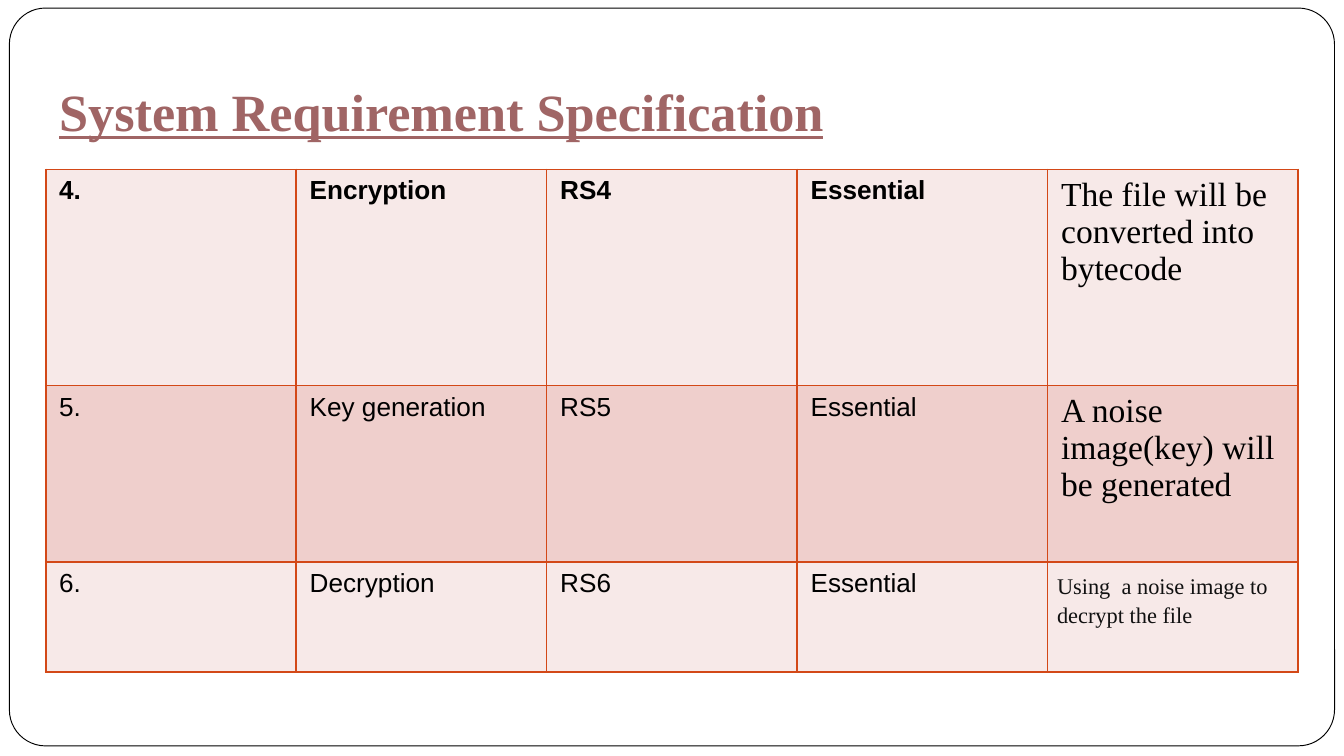
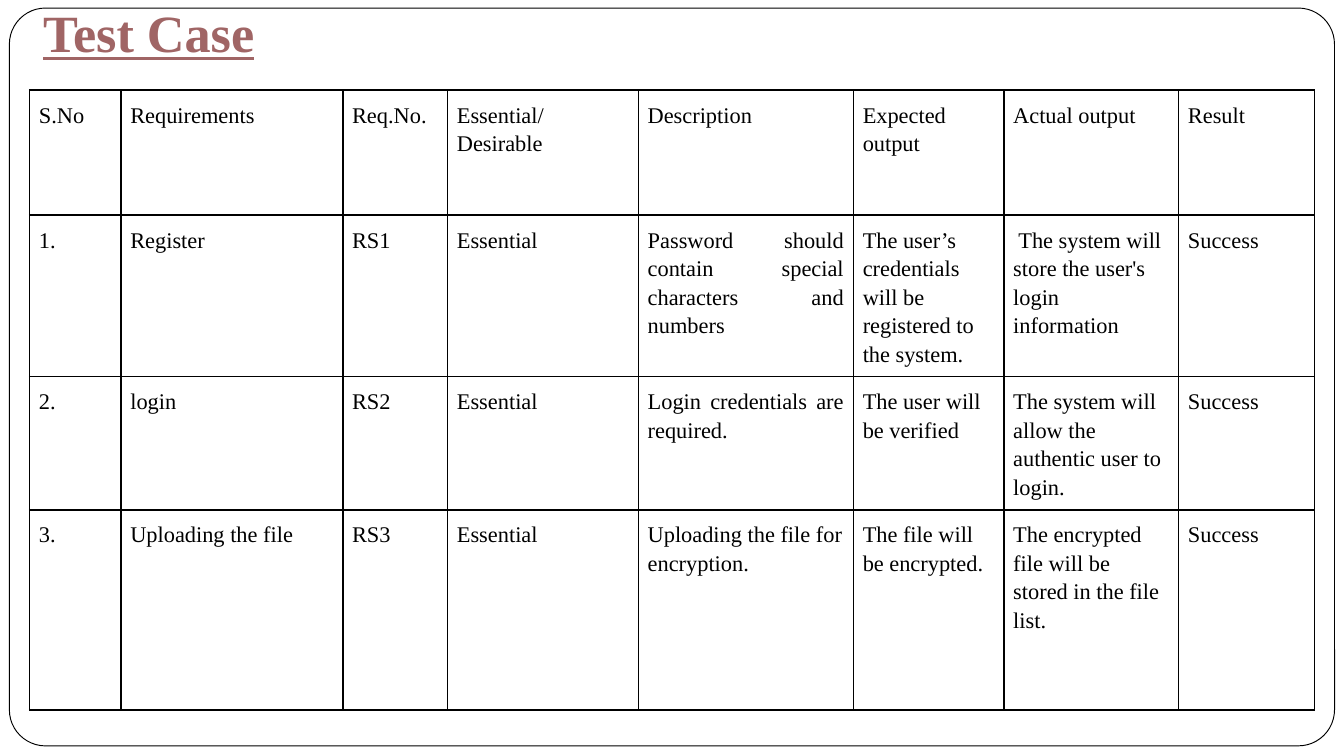
from dataclasses import dataclass, field

from pptx import Presentation
from pptx import util as u
from pptx.dml.color import RGBColor
from pptx.enum import shapes, text
from pptx.oxml import parse_xml
from pptx.oxml.ns import nsdecls

WHITE, BLACK = "FFFFFF", "000000"
TITLE_STOPS = {0: "4C2424", 78: "A06565", 100: "F6F1F1"}
SERIF = "Times New Roman"
TITLE_SIZE = (9.32, 0.63)
LEFT, JUSTIFY = text.PP_ALIGN.LEFT, text.PP_ALIGN.JUSTIFY


@dataclass(frozen=True)
class CellStyle:
    font: dict
    color: str = BLACK
    para: dict = field(default_factory=dict)
    margin: float | None = None


@dataclass(frozen=True)
class TableSlide:
    title: str
    title_at: tuple[float, float]
    table_at: tuple[float, float]
    cols: list[float]
    rows: list[float]
    border: str
    fills: list[str]
    cells: list[list[str]]
    styles: list[list[CellStyle]]


SPACED = {"line_spacing": 1.15, "space_before": u.Pt(11), "space_after": u.Pt(11)}
SMALL = {"size": u.Pt(12), "name": SERIF}
PLAIN = CellStyle({"size": u.Pt(14), "name": "Arial", "bold": False})
STRONG = CellStyle({**PLAIN.font, "bold": True})
LARGE = CellStyle({"size": u.Pt(18), "name": SERIF})
NOTE = CellStyle(SMALL, "111111", SPACED, 0.07)
RAGGED = CellStyle(SMALL, BLACK, {**SPACED, "alignment": LEFT}, 0.07)
JUSTIFIED = CellStyle(SMALL, BLACK, {**SPACED, "alignment": JUSTIFY}, 0.07)
CASE_ROW = [JUSTIFIED] * 5 + [RAGGED] * 2 + [JUSTIFIED]

SLIDES = [
    TableSlide(
        "System Requirement Specification", (0.34, 0.49), (0.34, 1.26),
        [9.32 / 5] * 5, [1.61, 1.31, 0.82], "D34817",
        ["F7E9E8", "EFCFCC", "F7E9E8"],
        [
            ["4.", "Encryption", "RS4", "Essential",
             "The file will be converted into bytecode"],
            ["5.", "Key generation", "RS5", "Essential",
             "A noise image(key) will be generated"],
            ["6.", "Decryption", "RS6", "Essential",
             "Using  a noise image to decrypt the file"],
        ],
        [[STRONG] * 4 + [LARGE], [PLAIN] * 4 + [LARGE], [PLAIN] * 4 + [NOTE]],
    ),
    TableSlide(
        "Test Case", (0.22, -0.1), (0.22, 0.67),
        [0.68, 1.65, 0.78, 1.42, 1.6, 1.12, 1.3, 1.01], [0.93, 1.2, 0.98, 1.49], BLACK,
        [WHITE] * 4,
        [
            ["S.No", "Requirements", "Req.No.", "Essential/Desirable", "Description",
             "Expected output", "Actual output ", "Result"],
            ["1.", "Register", "RS1", "Essential",
             "Password should contain special characters and numbers ",
             "The user’s credentials will be registered to the system.",
             " The system will store the user's login information", "Success"],
            ["2.", "login", "RS2", "Essential", "Login credentials are required.",
             "The user will be verified",
             "The system will allow the authentic user to login.", "Success"],
            ["3.", "Uploading the file ", "RS3", "Essential",
             "Uploading the file for encryption.", "The file will be encrypted.",
             "The encrypted file will be stored in the file list.", "Success"],
        ],
        [[JUSTIFIED] * 8, CASE_ROW, CASE_ROW, CASE_ROW[:4] + [RAGGED] * 3 + [JUSTIFIED]],
    ),
]


def rgb(value: str) -> RGBColor:
    return RGBColor.from_string(value)


def apply(target, values: dict) -> None:
    for name, value in values.items():
        setattr(target, name, value)


def add_frame(s) -> None:
    sp = s.shapes.add_shape(shapes.MSO_SHAPE.ROUNDED_RECTANGLE,
                            *map(u.Inches, (0.07, 0.06, 9.86, 5.49)))
    sp.adjustments[0] = 0.049
    sp.shadow.inherit = False
    sp.fill.solid()
    sp.fill.fore_color.rgb = rgb(WHITE)
    sp.line.color.rgb = rgb(BLACK)
    sp.line.width = u.Pt(0.5)
    s.shapes._spTree.insert(2, sp._element)


def set_title(s, title: str, at: tuple[float, float]) -> None:
    sp = s.shapes.title
    apply(sp, dict(zip(("left", "top", "width", "height"), map(u.Inches, at + TITLE_SIZE))))
    tf = sp.text_frame
    apply(tf, {"word_wrap": True, "auto_size": text.MSO_AUTO_SIZE.NONE,
               "vertical_anchor": text.MSO_ANCHOR.BOTTOM,
               "margin_left": u.Inches(0.1), "margin_right": u.Inches(0.1),
               "margin_top": u.Inches(0.1), "margin_bottom": u.Inches(0.06)})
    p = tf.paragraphs[0]
    p.alignment = LEFT
    r = p.add_run()
    r.text = title
    apply(r.font, {"size": u.Pt(28), "name": SERIF, "bold": True, "underline": True})
    stops = "".join(f'<a:gs pos="{pos * 1000}"><a:srgbClr val="{color}"/></a:gs>'
                    for pos, color in TITLE_STOPS.items())
    r._r.get_or_add_rPr().insert(0, parse_xml(
        f'<a:gradFill {nsdecls("a")}><a:gsLst>{stops}</a:gsLst>'
        '<a:lin ang="5400000" scaled="0"/></a:gradFill>'))


def set_borders(cell, color: str) -> None:
    tc_pr = cell._tc.get_or_add_tcPr()
    for i, side in enumerate("LRTB"):
        tc_pr.insert(i, parse_xml(
            f'<a:ln{side} {nsdecls("a")} w="{u.Pt(1)}"><a:solidFill>'
            f'<a:srgbClr val="{color}"/></a:solidFill></a:ln{side}>'))


def fill_cell(cell, content: str, style: CellStyle, fill: str, border: str) -> None:
    cell.fill.solid()
    cell.fill.fore_color.rgb = rgb(fill)
    set_borders(cell, border)
    if style.margin is not None:
        apply(cell, {f"margin_{side}": u.Inches(style.margin)
                     for side in ("left", "right", "top", "bottom")})
    p = cell.text_frame.paragraphs[0]
    apply(p, style.para)
    r = p.add_run()
    r.text = content
    apply(r.font, style.font)
    r.font.color.rgb = rgb(style.color)


def add_grid(s, spec: TableSlide) -> None:
    size = (sum(spec.cols), sum(spec.rows))
    table = s.shapes.add_table(len(spec.rows), len(spec.cols),
                               *map(u.Inches, spec.table_at + size)).table
    apply(table, {"first_row": False, "horz_banding": False})
    for col, width in zip(table.columns, spec.cols):
        col.width = u.Inches(width)
    for i, row in enumerate(table.rows):
        row.height = u.Inches(spec.rows[i])
        for cell, content, style in zip(row.cells, spec.cells[i], spec.styles[i]):
            fill_cell(cell, content, style, spec.fills[i], spec.border)


def main() -> None:
    """Build the requirement and test case slides."""
    prs = Presentation()
    prs.slide_width = u.Inches(10)
    prs.slide_height = prs.slide_width * 9 // 16
    for spec in SLIDES:
        s = prs.slides.add_slide(prs.slide_layouts[5])
        add_frame(s)
        set_title(s, spec.title, spec.title_at)
        add_grid(s, spec)
    prs.save("out.pptx")


if __name__ == "__main__":
    main()
